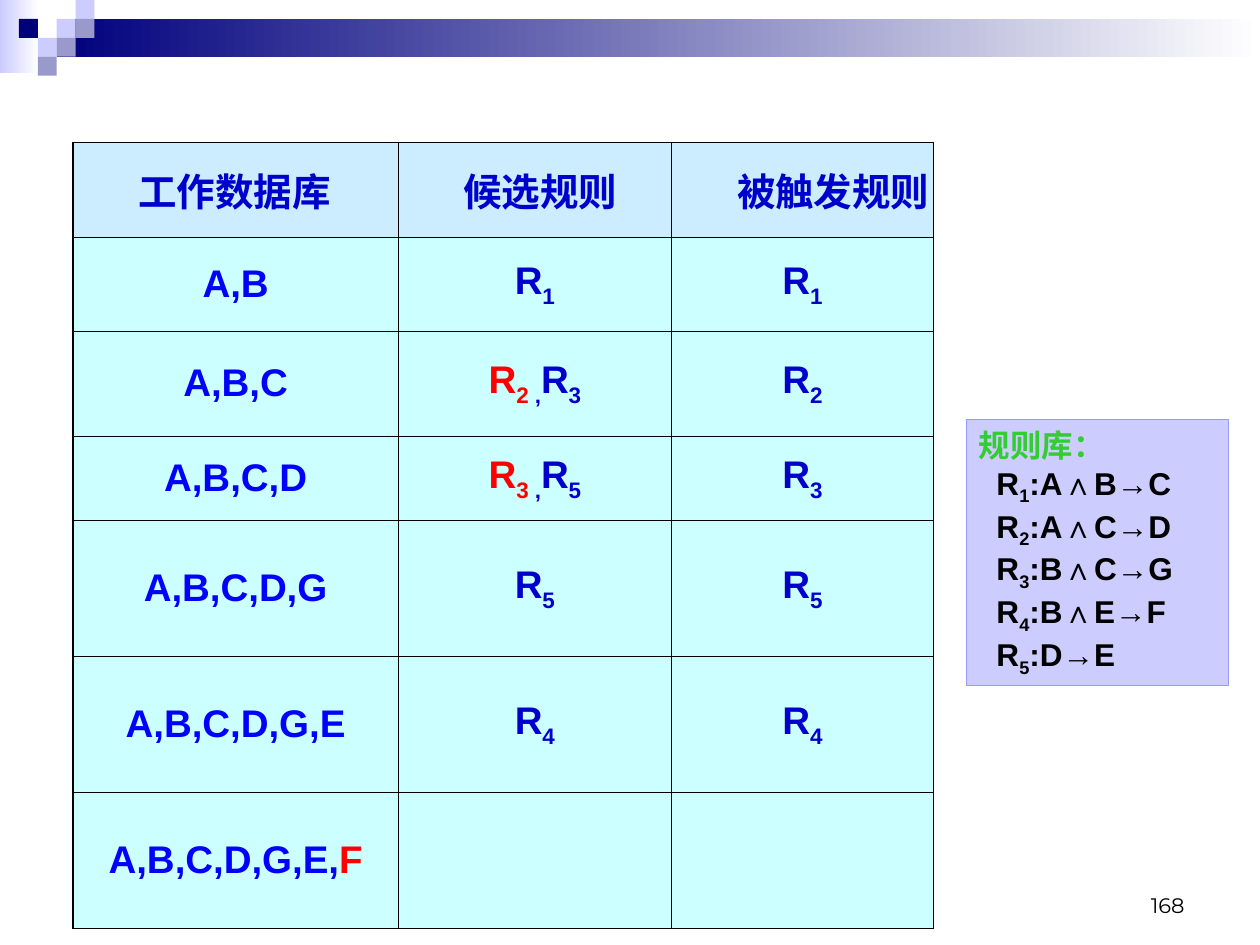
import pptx
import pptx.dml.color
import pptx.enum.shapes
import pptx.enum.text
import pptx.oxml
import pptx.oxml.ns
import pptx.util

Inches, Pt = pptx.util.Inches, pptx.util.Pt
ALIGN = pptx.enum.text.PP_ALIGN
ANCHOR = pptx.enum.text.MSO_ANCHOR

UNIT = 0.15  # side of one square in the corner pattern
NAVY, BLUE, RED, BLACK = "0000CC", "0000FF", "FF0000", "000000"
LILAC, SLATE, DARK, WHITE = "CCCCFF", "9999CC", "00007D", "FFFFFF"

SQUARES = [(3, 1, LILAC), (4, 0, LILAC), (4, 1, SLATE), (2, 2, LILAC),
           (1, 1, DARK), (3, 2, SLATE), (2, 3, SLATE)]
HEADS = ["工作数据库", "候选规则", "被触发规则"]
# known facts, newly drawn goal, candidate rules, fired rule
STEPS = [("A,B", "", "1", "1"),
         ("A,B,C", "", "23", "2"),
         ("A,B,C,D", "", "35", "3"),
         ("A,B,C,D,G", "", "5", "5"),
         ("A,B,C,D,G,E", "", "4", "4"),
         ("A,B,C,D,G,E,", "F", "", "")]
COLS = [2.58, 2.17, 2.08]
ROWS = [0.75, 0.75, 0.83, 0.67, 1.08, 1.08, 1.08]
RULES = ["A∧B→C", "A∧C→D", "B∧C→G", "B∧E→F", "D→E"]


def rgb(hue):
    return pptx.dml.color.RGBColor.from_string(hue)


def put(para, text, hue=NAVY, size=22, bold=True, font="Arial", sub=False):
    """Add one formatted run to a paragraph."""
    run = para.add_run()
    run.text = text
    run.font.name, run.font.size, run.font.bold = font, Pt(size), bold
    run.font.color.rgb = rgb(hue)
    if sub:
        run.font._element.set("baseline", "-25000")


def put_rule(para, num, **form):
    """Write a rule's name, with its number as a subscript."""
    put(para, "R", **form)
    put(para, num, sub=True, **form)


def indent(para, gap):
    props = para._p.get_or_add_pPr()
    props.set("marL", str(Inches(gap)))
    props.set("indent", "0")


def block(slide, x, y, w, h, hue, fade=None):
    """Draw a rectangle, plain or fading to a second colour."""
    shape = slide.shapes.add_shape(
        pptx.enum.shapes.MSO_SHAPE.RECTANGLE,
        Inches(x), Inches(y), Inches(w), Inches(h))
    shape.shadow.inherit = False
    shape.line.fill.background()
    if fade:
        shape.fill.gradient()
        shape.fill.gradient_angle = 0
        for stop, tint in zip(shape.fill.gradient_stops, (hue, fade)):
            stop.color.rgb = rgb(tint)
    else:
        shape.fill.solid()
        shape.fill.fore_color.rgb = rgb(hue)
    return shape


def banner(slide):
    block(slide, 0, 0, 0.31, 0.58, LILAC, fade=WHITE)
    block(slide, 3 * UNIT, UNIT, 10 - 3 * UNIT, 2 * UNIT, DARK, fade=WHITE)
    for col, row, hue in SQUARES:
        block(slide, col * UNIT, row * UNIT, UNIT, UNIT, hue)


def border(cell, sides):
    """Draw the cell's edges; sides maps L, R, T, B to True for an outer edge."""
    props = cell._tc.get_or_add_tcPr()
    for side, outer in sides.items():
        width = Pt(1.08 if outer else 0.45)
        props.append(pptx.oxml.parse_xml(
            f'<a:ln{side} {pptx.oxml.ns.nsdecls("a")} w="{width}">'
            f'<a:solidFill><a:srgbClr val="{BLACK}"/></a:solidFill>'
            f'</a:ln{side}>'))


def style(cell, row, col):
    border(cell, {"L": col == 0, "R": col == len(COLS) - 1,
                  "T": row == 0, "B": row == len(ROWS) - 1})
    cell.fill.solid()
    cell.fill.fore_color.rgb = rgb("CCFFFF" if row else "CCECFF")
    cell.vertical_anchor = ANCHOR.MIDDLE
    cell.margin_left = cell.margin_right = Inches(0.02)
    para = cell.text_frame.paragraphs[0]
    para.space_before = Pt(5.5)
    if row:
        para.alignment = ALIGN.CENTER
    else:
        indent(para, 0.5)
    return para


def trace(slide):
    """Build the table of inference steps."""
    frame = slide.shapes.add_table(
        len(ROWS), len(COLS), Inches(0.58), Inches(1.13),
        Inches(sum(COLS)), Inches(sum(ROWS)))
    table = frame.table
    table.first_row = table.horz_banding = False
    for col, width in zip(table.columns, COLS):
        col.width = Inches(width)
    for row, height in zip(table.rows, ROWS):
        row.height = Inches(height)
    paras = [[style(table.cell(r, c), r, c) for c in range(len(COLS))]
             for r in range(len(ROWS))]
    for para, text in zip(paras[0], HEADS):
        put(para, text)
    for (left, mid, right), (facts, goal, picks, fired) in zip(paras[1:], STEPS):
        put(left, facts, hue=BLUE)
        if goal:
            put(left, goal, hue=RED)
        for i, num in enumerate(picks):
            if i:
                put(mid, " ,", sub=True)
            chosen = len(picks) > 1 and num == fired
            put_rule(mid, num, hue=RED if chosen else NAVY)
        if fired:
            put_rule(right, fired)


def rule_base(slide):
    box = block(slide, 7.67, 3.33, 2.08, 2.11, LILAC)
    box.line.color.rgb = rgb("9999FF")
    box.line.width = Pt(0.75)
    frame = box.text_frame
    frame.word_wrap = True
    frame.auto_size = pptx.enum.text.MSO_AUTO_SIZE.SHAPE_TO_FIT_TEXT
    frame.vertical_anchor = ANCHOR.TOP
    head = frame.paragraphs[0]
    head.alignment = ALIGN.LEFT
    put(head, "规则库：", hue="33CC33", size=18)
    for num, rule in enumerate(RULES, 1):
        para = frame.add_paragraph()
        para.alignment = ALIGN.LEFT
        indent(para, 0.14)
        put_rule(para, str(num), hue=BLACK, size=18)
        put(para, ":" + rule, hue=BLACK, size=18)


def page_mark(slide, text):
    box = slide.shapes.add_textbox(
        Inches(7.17), Inches(6.83), Inches(2.33), Inches(0.5))
    frame = box.text_frame
    frame.word_wrap = True
    frame.vertical_anchor = ANCHOR.BOTTOM
    para = frame.paragraphs[0]
    para.alignment = ALIGN.RIGHT
    put(para, text, hue=BLACK, size=12, bold=False, font="Montserrat")


def main():
    deck = pptx.Presentation()
    deck.slide_width, deck.slide_height = Inches(10), Inches(7.5)
    slide = deck.slides.add_slide(deck.slide_layouts[6])
    banner(slide)
    trace(slide)
    rule_base(slide)
    page_mark(slide, "168")
    deck.save("out.pptx")


if __name__ == "__main__":
    main()
